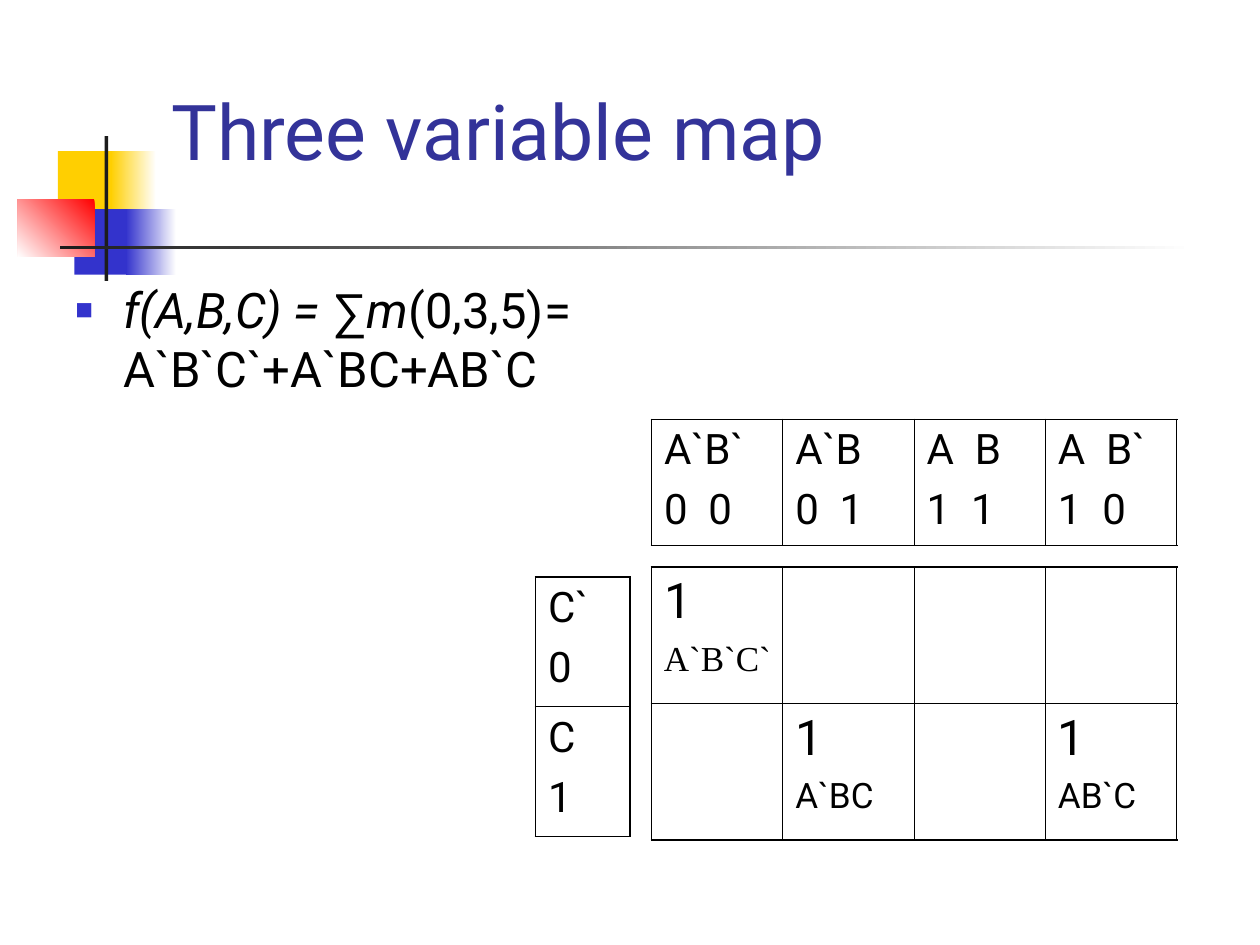
from lxml import etree
from pptx import Presentation
from pptx.dml.color import RGBColor
from pptx.enum import shapes, text
from pptx.oxml import ns
from pptx.util import Inches, Pt

YELLOW = RGBColor(0xFF, 0xCF, 0x01)
BLUE = RGBColor(0x33, 0x33, 0xCC)
RED = RGBColor(0xFF, 0x00, 0x00)
CHARCOAL = RGBColor(0x1C, 0x1C, 0x1C)
TITLE_BLUE = RGBColor(0x33, 0x33, 0x99)
BLACK = RGBColor(0x00, 0x00, 0x00)
WHITE = RGBColor(0xFF, 0xFF, 0xFF)

FONT = "Roboto"
OUTER_BORDER, INNER_BORDER = Pt(1.08), Pt(0.45)

# Left, top, width, height, start colour, end colour (None is solid), angle
ORNAMENT = [
    (0.46, 1.2, 0.48, 0.52, YELLOW, None, 0),
    (0.88, 1.2, 0.36, 0.52, WHITE, YELLOW, 180),
    (0.59, 1.66, 0.46, 0.52, BLUE, None, 0),
    (1, 1.66, 0.4, 0.52, WHITE, BLUE, 180),
    (0.14, 1.58, 0.61, 0.46, RED, WHITE, 225),
    (0.83, 1.08, 0.03, 1.15, CHARCOAL, None, 0),
    (0.48, 1.95, 9, 0.03, WHITE, CHARCOAL, 180),
]

# Each cell is a list of (line, size)
MINTERMS = [
    [[("1", 28)], [], [], []],
    [[], [("1", 28), ("A`BC", 20)], [], [("1", 28), ("AB`C", 20)]],
]
COLUMN_LABELS = [[
    [("A`B`", 24), ("0  0", 24)],
    [("A`B", 24), ("0  1", 24)],
    [("A  B", 24), ("1  1", 24)],
    [("A  B`", 24), ("1  0", 24)],
]]
ROW_LABELS = [
    [[("C`", 24), ("0", 24)]],
    [[("C", 24), ("1", 24)]],
]


def add_block(slide, left, top, width, height, start, end, angle):
    shape = slide.shapes.add_shape(
        shapes.MSO_SHAPE.RECTANGLE,
        Inches(left), Inches(top), Inches(width), Inches(height))
    shape.shadow.inherit = False
    shape.line.fill.background()
    if end is None:
        shape.fill.solid()
        shape.fill.fore_color.rgb = start
        return
    shape.fill.gradient()
    shape.fill.gradient_angle = angle
    for stop, color in zip(shape.fill.gradient_stops, (start, end)):
        stop.color.rgb = color


def add_run(paragraph, words, size, color=BLACK, font=FONT, italic=False):
    run = paragraph.add_run()
    run.text = words
    run.font.size = Pt(size)
    run.font.name = font
    run.font.color.rgb = color
    run.font.italic = italic


def add_text_box(slide, left, top, width, height, wrap=True):
    box = slide.shapes.add_textbox(
        Inches(left), Inches(top), Inches(width), Inches(height))
    box.text_frame.word_wrap = wrap
    return box.text_frame


def add_square_bullet(paragraph, indent):
    properties = paragraph._p.get_or_add_pPr()
    properties.set("marL", str(indent))
    properties.set("indent", str(-indent))
    color = etree.SubElement(properties, ns.qn("a:buClr"))
    etree.SubElement(color, ns.qn("a:srgbClr"), val=str(BLUE))
    etree.SubElement(properties, ns.qn("a:buSzPct"), val="60000")
    etree.SubElement(properties, ns.qn("a:buFont"), typeface="Arial")
    etree.SubElement(properties, ns.qn("a:buChar"), char="■")


def set_borders(cell, outer_sides):
    """Draw heavy lines on the outer sides of the table, thin ones inside."""
    properties = cell._tc.get_or_add_tcPr()
    for side in "LRTB":
        width = OUTER_BORDER if side in outer_sides else INNER_BORDER
        line = etree.SubElement(properties, ns.qn(f"a:ln{side}"), w=str(width))
        fill = etree.SubElement(line, ns.qn("a:solidFill"))
        etree.SubElement(fill, ns.qn("a:srgbClr"), val=str(BLACK))


def fill_cell(cell, lines):
    cell.fill.background()
    frame = cell.text_frame
    for index, (words, size) in enumerate(lines):
        paragraph = frame.add_paragraph() if index else frame.paragraphs[0]
        if index:
            paragraph.space_before = Pt(size / 4)
        add_run(paragraph, words, size)


def add_grid(slide, left, top, width, height, rows):
    row_count, column_count = len(rows), len(rows[0])
    table = slide.shapes.add_table(
        row_count, column_count,
        Inches(left), Inches(top), Inches(width), Inches(height)).table
    table.first_row = False
    table.horz_banding = False
    for r, row in enumerate(rows):
        for c, lines in enumerate(row):
            cell = table.cell(r, c)
            edges = {"L": c == 0, "R": c == column_count - 1,
                     "T": r == 0, "B": r == row_count - 1}
            set_borders(cell, [side for side, outer in edges.items() if outer])
            fill_cell(cell, lines)


def add_title(slide):
    frame = add_text_box(slide, 1.26, 0.23, 8.52, 1.6)
    frame.vertical_anchor = text.MSO_ANCHOR.MIDDLE
    add_run(frame.paragraphs[0], "Three variable map", 44, TITLE_BLUE)


def add_formula(slide):
    paragraph = add_text_box(slide, 0.5, 2.17, 4.17, 4.5).paragraphs[0]
    add_square_bullet(paragraph, Inches(0.38))
    add_run(paragraph, "f(A,B,C) = ", 28, italic=True)
    add_run(paragraph, "∑", 28, font="Arial")
    add_run(paragraph, "m", 28, italic=True)
    add_run(paragraph, "(0,3,5)= A`B`C`+A`BC+AB`C", 28)


def main():
    presentation = Presentation()
    presentation.slide_width = Inches(10)
    presentation.slide_height = Inches(7.5)
    slide = presentation.slides.add_slide(presentation.slide_layouts[6])

    for block in ORNAMENT:
        add_block(slide, *block)
    add_title(slide)
    add_formula(slide)
    add_grid(slide, 5.17, 4.5, 4.17, 2.17, MINTERMS)
    add_grid(slide, 5.17, 3.33, 4.17, 1, COLUMN_LABELS)
    add_grid(slide, 4.25, 4.58, 0.75, 2.06, ROW_LABELS)
    first_minterm = add_text_box(slide, 5.17, 5, 1.05, 0.44, wrap=False)
    add_run(first_minterm.paragraphs[0], "A`B`C`", 20, font="Times New Roman")

    presentation.save("out.pptx")


if __name__ == "__main__":
    main()
